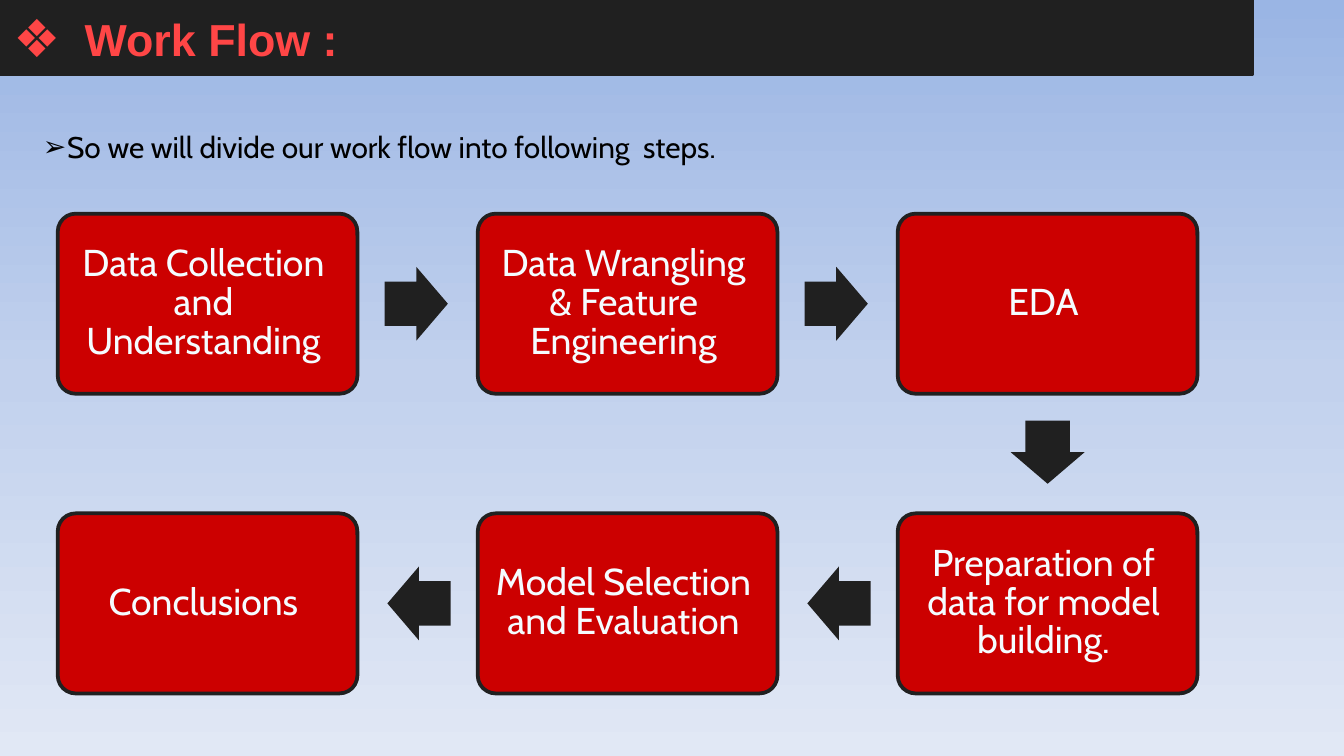
from copy import deepcopy

from pptx import Presentation
from pptx.dml.color import RGBColor
from pptx.enum.shapes import MSO_SHAPE
from pptx.enum.text import MSO_ANCHOR, MSO_AUTO_SIZE, PP_ALIGN
from pptx.oxml.ns import qn
from pptx.util import Inches, Pt

RECTANGLE = MSO_SHAPE.RECTANGLE
ROUNDED = MSO_SHAPE.ROUNDED_RECTANGLE
RIGHT, LEFT, DOWN = MSO_SHAPE.RIGHT_ARROW, MSO_SHAPE.LEFT_ARROW, MSO_SHAPE.DOWN_ARROW
MIDDLE = MSO_ANCHOR.MIDDLE
ALIGN_LEFT, ALIGN_CENTER = PP_ALIGN.LEFT, PP_ALIGN.CENTER
NO_AUTOSIZE = MSO_AUTO_SIZE.NONE

SLIDE_WIDTH = 10
SLIDE_HEIGHT = SLIDE_WIDTH * 9 / 16
TITLE_ONLY = 5
DARK, RED, TITLE_RED, PALE, BLACK = "202020", "CC0000", "FF4646", "F5FCFF", "000000"
BACKGROUND = [(0, "9AB5E4"), (0.5, "C2D1ED"), (1, "E1E8F5")]

GRID_LEFT, GRID_TOP = 0.43, 1.59
COLUMN_PITCH, ROW_PITCH = SLIDE_WIDTH * 5 / 16, 2.23
STEP_WIDTH, STEP_HEIGHT = 2.23, 1.34
ARROW_LENGTH, ARROW_BREADTH, ARROW_LAG = 0.47, 0.55, 0.01
DIRECTIONS = {(1, 0): RIGHT, (-1, 0): LEFT, (0, 1): DOWN}

STEPS = [
    (0, 0, "Data Collection\vand\vUnderstanding"),
    (1, 0, "Data Wrangling\v& Feature\vEngineering"),
    (2, 0, "EDA"),
    (2, 1, "Preparation of\vdata for model\vbuilding."),
    (1, 1, "Model Selection\vand Evaluation"),
    (0, 1, "Conclusions"),
]


def color(value):
    return RGBColor.from_string(value)


def set_background(slide):
    fill = slide.background.fill
    fill.gradient()
    fill.gradient_angle = 270
    stop_list = slide.element.find(".//" + qn("a:gsLst"))
    stop_list.append(deepcopy(stop_list[0]))
    for stop, (position, value) in zip(fill.gradient_stops, BACKGROUND):
        stop.position = position
        stop.color.rgb = color(value)


def set_bullet(paragraph, character, size, indent):
    properties = paragraph._p.get_or_add_pPr()
    properties.set("marL", str(Inches(indent)))
    properties.set("indent", str(-Inches(indent)))
    for tag, attributes in (("a:buSzPct", {"val": str(size * 1000)}),
                            ("a:buFont", {"typeface": "Cabin"}),
                            ("a:buChar", {"char": character})):
        properties.append(properties.makeelement(qn(tag), attributes))


def write_text(shape, text, size, text_color, font="Cabin", bold=False,
               align=ALIGN_LEFT, line_spacing=None, bullet=None, margin_right=0):
    frame = shape.text_frame
    frame.word_wrap = True
    frame.auto_size = NO_AUTOSIZE
    frame.vertical_anchor = MIDDLE
    frame.margin_left = frame.margin_top = frame.margin_bottom = 0
    frame.margin_right = Inches(margin_right)
    paragraph = frame.paragraphs[0]
    paragraph.text = text
    paragraph.alignment = align
    if line_spacing:
        paragraph.line_spacing = Pt(line_spacing)
    if bullet:
        set_bullet(paragraph, *bullet)
    for run in paragraph.runs:
        run.font.name = font
        run.font.size = Pt(size)
        run.font.bold = bold
        run.font.color.rgb = color(text_color)


def add_block(slide, kind, left, top, width, height, fill, line=None):
    shape = slide.shapes.add_shape(
        kind, Inches(left), Inches(top), Inches(width), Inches(height))
    shape.shadow.inherit = False
    shape.fill.solid()
    shape.fill.fore_color.rgb = color(fill)
    if line:
        shape.line.color.rgb = color(line)
        shape.line.width = Pt(2)
    else:
        shape.line.fill.background()
    return shape


def add_title(slide):
    bar = add_block(slide, RECTANGLE, 0, 0, 9.32, 0.55, DARK, DARK)
    title = slide.shapes.title
    bar._element.addnext(title._element)
    title.left, title.top = Inches(0.1), Inches(0.07)
    title.width, title.height = Inches(5.48), Inches(0.44)
    write_text(title, "Work Flow :", 24, TITLE_RED, font="Arial", bold=True,
               bullet=("❖", 117, 0.53))


def add_intro(slide):
    box = slide.shapes.add_textbox(Inches(0.32), Inches(0.95), Inches(6), Inches(0.28))
    write_text(box, "So we will divide our work flow into following  steps.",
               16, BLACK, bullet=("➢", 94, 0.18))


def add_step(slide, column, row, text):
    step = add_block(slide, ROUNDED, GRID_LEFT + column * COLUMN_PITCH,
                     GRID_TOP + row * ROW_PITCH, STEP_WIDTH, STEP_HEIGHT, RED, DARK)
    step.adjustments[0] = 0.1
    write_text(step, text, 20, PALE, align=ALIGN_CENTER, line_spacing=20.7,
               margin_right=0.06)


def add_arrow(slide, start, end):
    across, down = end[0] - start[0], end[1] - start[1]
    width, height = ARROW_LENGTH, ARROW_BREADTH
    if down:
        width, height = height, width
    center_x = GRID_LEFT + STEP_WIDTH / 2 + (start[0] + across / 2) * COLUMN_PITCH
    center_y = GRID_TOP + STEP_HEIGHT / 2 + (start[1] + down / 2) * ROW_PITCH
    arrow = add_block(slide, DIRECTIONS[across, down],
                      center_x - width / 2 - across * ARROW_LAG,
                      center_y - height / 2 - down * ARROW_LAG, width, height, DARK)
    arrow.adjustments[0] = 0.6
    arrow.adjustments[1] = 0.5


def main():
    presentation = Presentation()
    presentation.slide_width = Inches(SLIDE_WIDTH)
    presentation.slide_height = Inches(SLIDE_HEIGHT)
    slide = presentation.slides.add_slide(presentation.slide_layouts[TITLE_ONLY])
    set_background(slide)
    add_title(slide)
    add_intro(slide)
    for column, row, text in STEPS:
        add_step(slide, column, row, text)
    for start, end in zip(STEPS, STEPS[1:]):
        add_arrow(slide, start[:2], end[:2])
    presentation.save("out.pptx")


if __name__ == "__main__":
    main()
